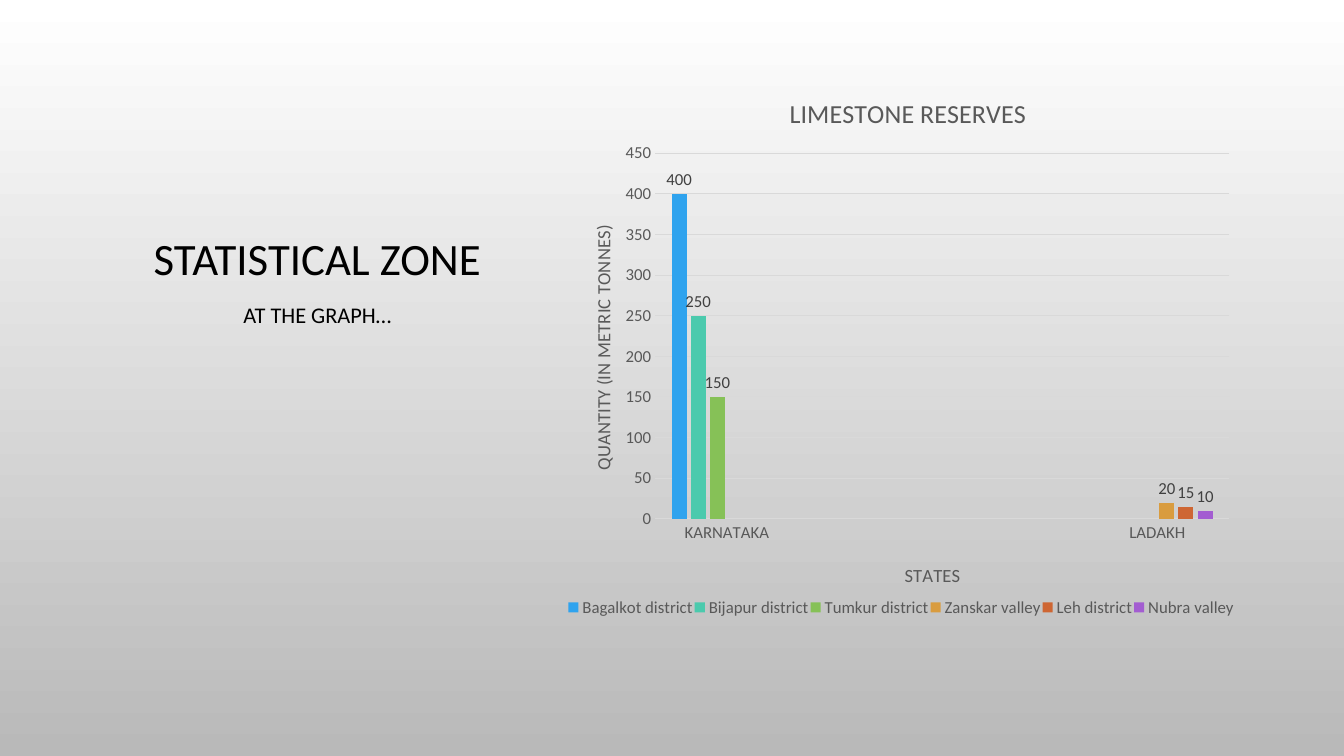
from lxml import etree
from pptx import Presentation
from pptx.chart.data import CategoryChartData
from pptx.dml.color import RGBColor
from pptx.enum.chart import XL_CHART_TYPE as CHART, XL_LABEL_POSITION as LABEL
from pptx.enum.chart import XL_LEGEND_POSITION as LEGEND, XL_TICK_MARK as TICK
from pptx.enum.text import MSO_ANCHOR as ANCHOR, PP_ALIGN as ALIGN
from pptx.oxml.ns import qn
from pptx.util import Cm, Pt

STATES = ["KARNATAKA", "", "", "LADAKH"]
# district, state index, reserves, colour
RESERVES = [
    ("Bagalkot district", 0, 400, "2FA3EE"),
    ("Bijapur district", 0, 250, "4BCAAD"),
    ("Tumkur district", 0, 150, "86C157"),
    ("Zanskar valley", 3, 20, "D99C3F"),
    ("Leh district", 3, 15, "CE6633"),
    ("Nubra valley", 3, 10, "A35DD1"),
]


def rgb(value):
    return RGBColor.from_string(value)


def place(el, x, y, w=None, h=None, inner=False):
    """Set a manual layout, in fractions of the chart, on a chart part."""
    for old in el.findall(qn("c:layout")):
        el.remove(old)
    layout = etree.Element(qn("c:layout"))
    manual = etree.SubElement(layout, qn("c:manualLayout"))
    settings = [("layoutTarget", "inner" if inner else None),
                ("xMode", "edge"), ("yMode", "edge"),
                ("x", x), ("y", y), ("w", w), ("h", h)]
    for tag, value in settings:
        if value is not None:
            etree.SubElement(manual, qn("c:" + tag)).set("val", str(value))
    overlay = el.find(qn("c:overlay"))
    if overlay is None:
        el.insert(0, layout)
    else:
        overlay.addprevious(layout)


class Deck:
    font = "Calibri"
    ink, grey, label, rule = "000000", "595959", "404040", "D9D9D9"

    def __init__(self, prs):
        self.s = prs.slides.add_slide(prs.slide_layouts[6])

    def style(self, font, size, color):
        font.name, font.size, font.bold = self.font, Pt(size), False
        font.color.rgb = rgb(color)

    def background(self, *colors):
        fill = self.s.background.fill
        fill.gradient()
        fill.gradient_angle = 270
        for i, (stop, color) in enumerate(zip(fill.gradient_stops, colors)):
            stop.position = i
            stop.color.rgb = rgb(color)

    def text(self, text, box, size, anchor, spacing, before=0):
        tf = self.s.shapes.add_textbox(*map(Cm, box)).text_frame
        tf.word_wrap, tf.vertical_anchor = True, anchor
        p = tf.paragraphs[0]
        p.text, p.alignment = text, ALIGN.CENTER
        p.line_spacing, p.space_before = spacing, Pt(before)
        self.style(p.font, size, self.ink)

    def chart_title(self, title, text, size, x, y, rotation=0):
        tf = title.text_frame
        tf.text = text
        self.style(tf.paragraphs[0].font, size, self.grey)
        body = title._element.find(".//" + qn("a:bodyPr"))
        body.set("rot", str(rotation * 60000))
        body.set("vert", "horz")
        place(title._element, x, y)

    def axis(self, axis, title, x, y, rotation=0):
        axis.major_tick_mark = axis.minor_tick_mark = TICK.NONE
        self.style(axis.tick_labels.font, 12, self.grey)
        self.chart_title(axis.axis_title, title, 13.3, x, y, rotation)

    def line(self, line):
        line.color.rgb, line.width = rgb(self.rule), Pt(0.75)

    def column_chart(self, box):
        data = CategoryChartData()
        data.categories = STATES
        for name, state, amount, _ in RESERVES:
            data.add_series(name, [amount if i == state else None
                                   for i in range(len(STATES))])
        chart = self.s.shapes.add_chart(
            CHART.COLUMN_CLUSTERED, *map(Cm, box), data).chart
        self.style(chart.font, 10, self.ink)
        self.chart_title(chart.chart_title, "LIMESTONE RESERVES", 18.6, 0.33, 0.04)

        # Axes and gridlines
        cat, val = chart.category_axis, chart.value_axis
        self.axis(cat, "STATES", 0.5, 0.86)
        self.axis(val, "QUANTITY (IN METRIC TONNES)", 0.04, 0.27, -90)
        self.line(cat.format.line)
        val.format.line.fill.background()
        self.line(val.major_gridlines.format.line)
        val.minimum_scale, val.maximum_scale, val.major_unit = 0, 450, 50

        # Columns and their labels
        plot = chart.plots[0]
        plot.gap_width, plot.overlap, plot.vary_by_categories = 219, -27, False
        for series, (*_, color) in zip(plot.series, RESERVES):
            series.format.fill.solid()
            series.format.fill.fore_color.rgb = rgb(color)
            labels = series.data_labels
            labels.show_value, labels.position = True, LABEL.OUTSIDE_END
            self.style(labels.font, 12, self.label)

        # Legend and plot area
        chart.has_legend = True
        legend = chart.legend
        legend.position, legend.include_in_layout = LEGEND.BOTTOM, False
        self.style(legend.font, 12, self.grey)
        place(legend._element, 0.01, 0.92, 0.98, 0.05)
        area = chart._chartSpace.find(".//" + qn("c:plotArea"))
        place(area, 0.14, 0.15, 0.84, 0.64, inner=True)


def main():
    prs = Presentation()
    prs.slide_width, prs.slide_height = Cm(33.87), Cm(19.05)
    deck = Deck(prs)
    deck.background("FFFFFF", "B9B9B9")

    # Heading column
    deck.text("STATISTICAL ZONE", (2.54, 1.7, 10.92, 5.61), 32, ANCHOR.BOTTOM, 0.9)
    deck.text("AT THE GRAPH…", (2.54, 7.32, 10.92, 8.76), 16, ANCHOR.TOP, 1.2, 10)

    # Reserves by state
    deck.column_chart((14.1, 1.7, 17.22, 14.4))
    prs.save("out.pptx")


if __name__ == "__main__":
    main()
